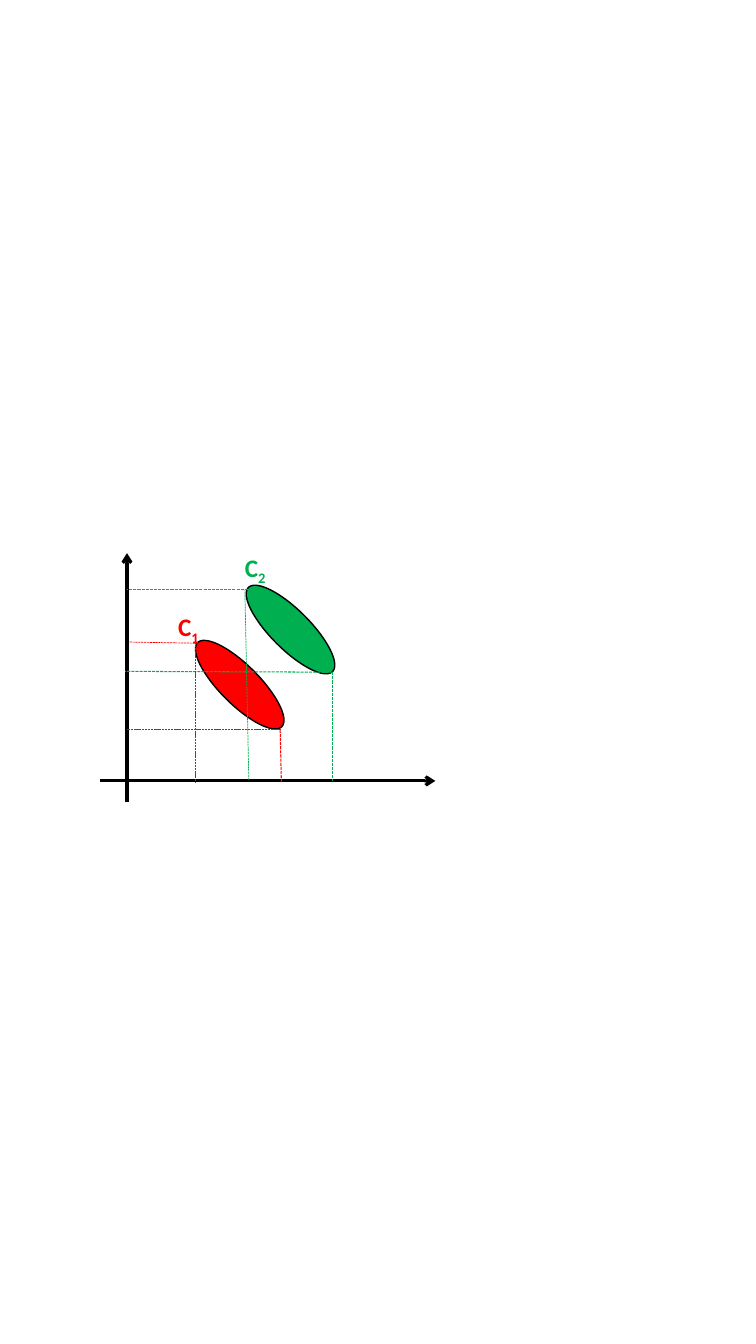
from dataclasses import dataclass

from lxml import etree
from pptx import Presentation
from pptx.dml.color import RGBColor
from pptx.enum.dml import MSO_LINE
from pptx.enum.shapes import MSO_CONNECTOR, MSO_SHAPE
from pptx.oxml.ns import qn
from pptx.util import Cm, Pt

STRAIGHT = MSO_CONNECTOR.STRAIGHT
ELLIPSE = MSO_SHAPE.OVAL
DASH = MSO_LINE.SQUARE_DOT

BLACK, RED, GREEN = "000000", "FF0000", "00B050"
BLANK_LAYOUT = 6
CLUSTER_WIDTH, CLUSTER_HEIGHT, CLUSTER_TILT = 3, 0.99, 45
LABEL_HEIGHT = 1.02
AXIS_X, AXIS_Y = 0.69, 5.74  # where the axes cross inside the plot


@dataclass
class Box:
    left: float
    top: float
    width: float
    height: float

    def point(self, x, y):
        return Cm(self.left + x), Cm(self.top + y)


@dataclass
class Cluster:
    """A cluster; each projection is (start, end, line width in points)."""
    number: str
    color: str
    corner: tuple
    label_corner: tuple
    label_width: float
    projections: list


CLUSTERS = [
    Cluster("1", RED, (2.03, 2.82), (1.73, 1.35), 1.09, [
        ((2.47, 2.27), (0.74, 2.24), 0.5),
        ((2.42, 2.24), (2.42, 5.77), 0.5),
        ((4.58, 4.45), (AXIS_X, 4.45), 0.5),
        ((4.55, 4.45), (4.58, 5.77), 0.75),
    ]),
    Cluster("2", GREEN, (3.31, 1.43), (3.41, -0.15), 1.45, [
        ((3.84, 0.91), (AXIS_X, 0.91), 0.75),
        ((3.66, 0.91), (3.76, 5.72), 0.5),
        ((5.87, 3), (0.64, 2.98), 0.75),
        ((5.87, 3), (5.87, AXIS_Y), 0.75),
    ]),
]


def rgb(value):
    return RGBColor.from_string(value)


def add_line(page, box, start, end, color, width):
    connector = page.shapes.add_connector(
        STRAIGHT, *box.point(*start), *box.point(*end))
    connector.line.color.rgb = rgb(color)
    connector.line.width = Pt(width)
    etree.SubElement(connector._element.spPr, qn("a:effectLst"))
    return connector


def add_axes(page, box):
    horizontal = (0, AXIS_Y), (box.width, AXIS_Y)
    vertical = (AXIS_X, box.height), (AXIS_X, 0)
    for start, end in (horizontal, vertical):
        axis = add_line(page, box, start, end, BLACK, 2.25)
        etree.SubElement(axis.line._get_or_add_ln(), qn("a:tailEnd"), type="arrow")


def add_cluster(page, box, cluster):
    ellipse = page.shapes.add_shape(
        ELLIPSE, *box.point(*cluster.corner), Cm(CLUSTER_WIDTH), Cm(CLUSTER_HEIGHT))
    ellipse.rotation = CLUSTER_TILT
    ellipse.shadow.inherit = False
    ellipse.fill.solid()
    ellipse.fill.fore_color.rgb = rgb(cluster.color)
    ellipse.line.color.rgb = rgb(BLACK)
    ellipse.line.width = Pt(1)


def add_projections(page, box, cluster):
    for start, end, width in cluster.projections:
        line = add_line(page, box, start, end, cluster.color, width)
        line.line.dash_style = DASH


def add_label(page, box, cluster):
    label = page.shapes.add_textbox(
        *box.point(*cluster.label_corner), Cm(cluster.label_width), Cm(LABEL_HEIGHT))
    label.text_frame.word_wrap = True
    para = label.text_frame.paragraphs[0]
    for text in ("C", cluster.number):
        span = para.add_run()
        span.text = text
        for name, value in {"name": "Calibri", "size": Pt(18), "bold": True}.items():
            setattr(span.font, name, value)
        span.font.color.rgb = rgb(cluster.color)
    span._r.get_or_add_rPr().set("baseline", "-25000")


def add_plot(page, box):
    add_axes(page, box)
    for cluster in CLUSTERS:
        add_cluster(page, box, cluster)
    for cluster in reversed(CLUSTERS):
        add_projections(page, box, cluster)
    for cluster in CLUSTERS:
        add_label(page, box, cluster)


def main():
    deck = Presentation()
    deck.slide_width, deck.slide_height = Cm(19.05), Cm(33.87)
    page = deck.slides.add_slide(deck.slide_layouts[BLANK_LAYOUT])
    add_plot(page, Box(2.51, 13.94, 8.46, 6.27))
    deck.save("out.pptx")


if __name__ == "__main__":
    main()
